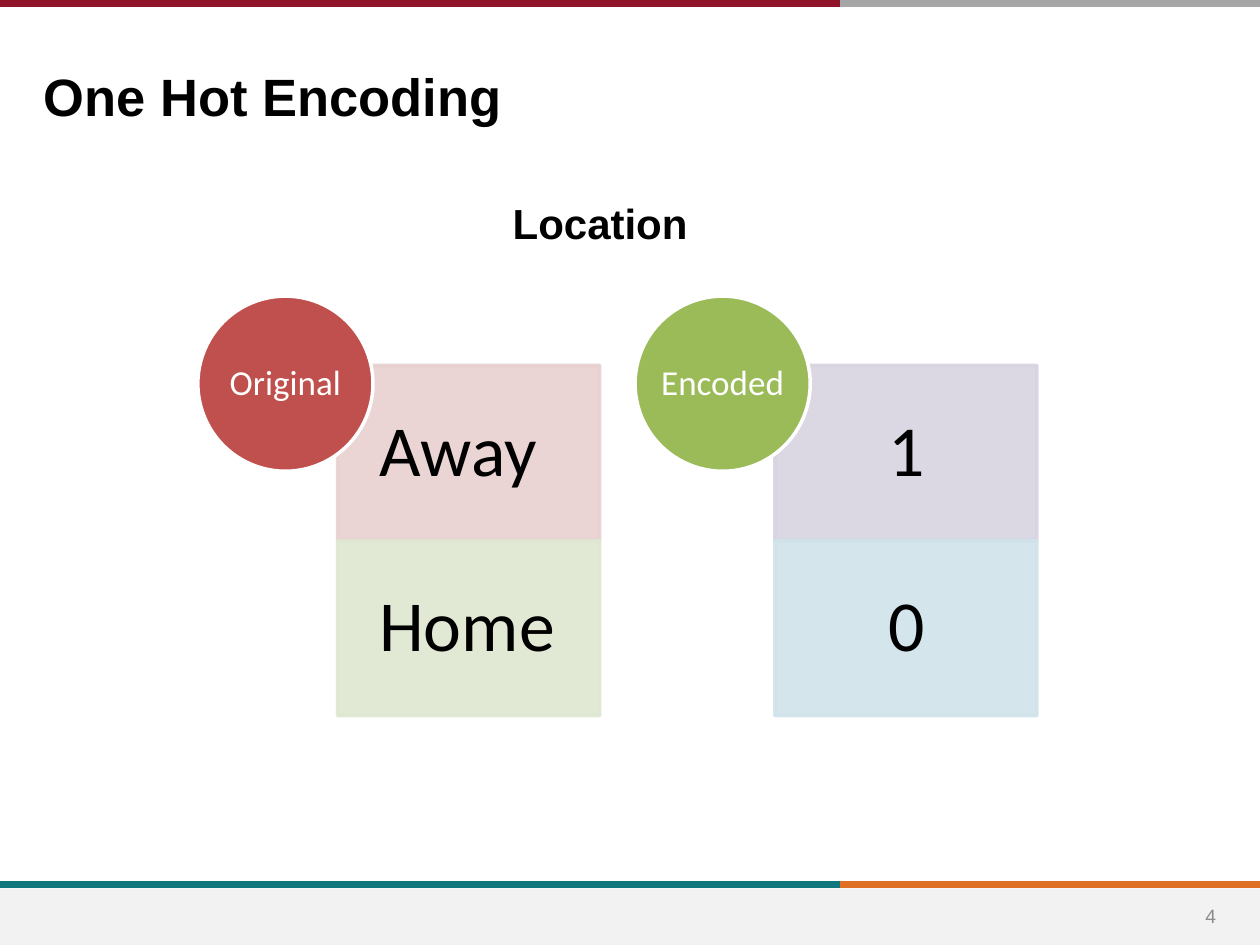
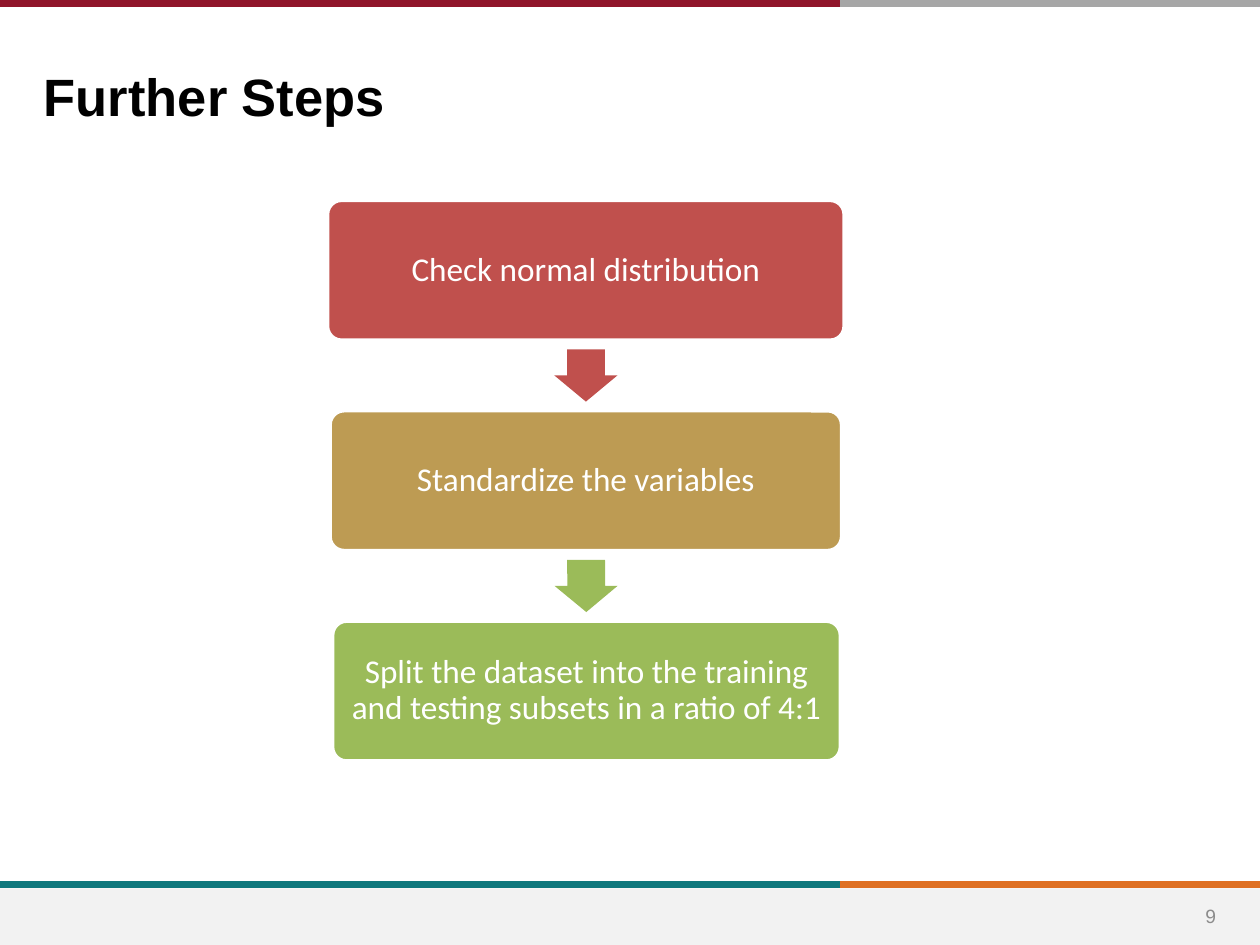
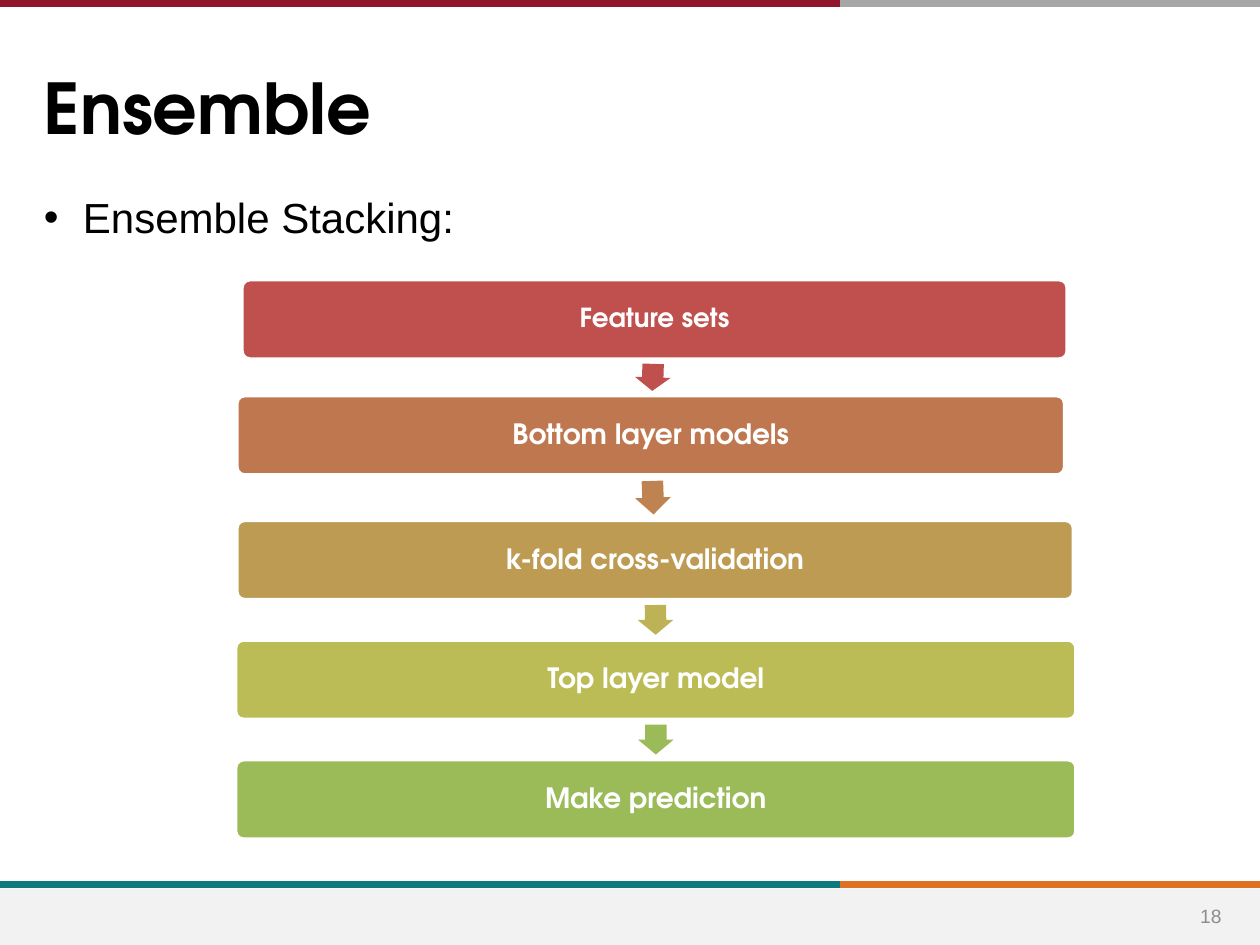
from math import atan2, degrees

from lxml import etree
from pptx import Presentation
from pptx import util as u
from pptx.dml.color import RGBColor
from pptx.enum import shapes, text
from pptx.oxml import ns


class Theme:
    sans, rounded, diagram = "Arial", "TeX Gyre Adventor", "Calibri"
    black, white, number = "000000", "FFFFFF", "8C8C8C"
    footer = "F2F2F2"
    red, green = "C0504D", "9BBB59"
    title_size, big_title_size, body_size, number_size = 30, 40, 24, 11
    value_size, badge_size, step_size = 41, 20, 19


# Content
SPLIT = 6.67
BANDS = [  # y, left colour, right colour
    (7.02, "0F787D", "DF7023"),
    (0.03, "90152A", "A6A6A6"),
]

ENCODING = [  # left, badge, badge colour, alignment, (value, tint) rows
    (2.68, "Original", Theme.red, text.PP_ALIGN.LEFT,
     [("Away", "E8D0D0"), ("Home", "DEE7D1")]),
    (6.15, "Encoded", Theme.green, text.PP_ALIGN.CENTER,
     [("1", "D8D3E0"), ("0", "D0E3EA")]),
]

# Steps: label, left, top, width, colour, colour of the arrow below, size
FURTHER_STEPS = [
    ("Check normal distribution", 2.6, 1.59, 4.1, Theme.red, Theme.red, 19),
    ("Standardize the variables", 2.62, 3.26, 4.06, "BD9B53", Theme.green, 19),
    ("Split the dataset into the training and testing subsets in a ratio of 4:1",
     2.64, 4.93, 4.03, Theme.green, None, 19),
]
STACKING = [
    ("Feature sets", 1.92, 2.22, 6.55, Theme.red, Theme.red, 15),
    ("Bottom layer models", 1.88, 3.14, 6.57, "BF7750", "BE8351", 16),
    ("k-fold cross-validation", 1.88, 4.13, 6.64, "BD9B53", "BDB255", 16),
    ("Top layer model", 1.87, 5.08, 6.67, "BCBC56", Theme.green, 16),
    ("Make prediction", 1.87, 6.03, 6.67, Theme.green, None, 16),
]


# Building blocks
def rgb(colour):
    return RGBColor.from_string(colour)


def inches(*lengths):
    return [u.Inches(length) for length in lengths]


def write(shape, words, size, colour, font=Theme.sans, bold=False,
          align=text.PP_ALIGN.LEFT, anchor=text.MSO_ANCHOR.TOP,
          insets=(0.1, 0.05, 0.1, 0.05), spacing=None):
    frame = shape.text_frame
    frame.word_wrap = True
    frame.vertical_anchor = anchor
    (frame.margin_left, frame.margin_top,
     frame.margin_right, frame.margin_bottom) = inches(*insets)
    line = frame.paragraphs[0]
    line.text = words
    line.alignment = align
    line.line_spacing = spacing
    line.font.name, line.font.size, line.font.bold = font, u.Pt(size), bold
    line.font.color.rgb = rgb(colour)


def add_text(slide, box, words, size, colour=Theme.black, **style):
    label = slide.shapes.add_textbox(*inches(*box))
    write(label, words, size, colour, **style)
    return label


def add_block(slide, kind, box, fill, outline=None, opacity=None):
    block = slide.shapes.add_shape(kind, *inches(*box))
    block.shadow.inherit = False
    block.fill.solid()
    block.fill.fore_color.rgb = rgb(fill)
    if outline:
        block.line.color.rgb = rgb(outline)
        block.line.width = u.Pt(2)
    else:
        block.line.fill.background()
    if opacity:
        for colour in block._element.spPr.iter(ns.qn("a:srgbClr")):
            etree.SubElement(colour, ns.qn("a:alpha"), val=str(opacity * 1000))
    return block


def add_band(slide, y, start, end, colour):
    band = slide.shapes.add_connector(
        shapes.MSO_CONNECTOR.STRAIGHT, *inches(start, y, end, y))
    band.line.color.rgb = rgb(colour)
    band.line.width = u.Pt(4)
    etree.SubElement(band._element.spPr, ns.qn("a:effectLst"))


def add_page(deck, title, number, size=Theme.title_size, font=Theme.sans):
    slide = deck.slides.add_slide(deck.slide_layouts[6])
    add_block(slide, shapes.MSO_SHAPE.RECTANGLE, (0, 7.05, 10, 0.45), Theme.footer)
    for y, left_colour, right_colour in BANDS:
        add_band(slide, y, 0, SPLIT, left_colour)
        add_band(slide, y, SPLIT, 10, right_colour)
    add_text(slide, (9.35, 7.07, 0.52, 0.4), number, Theme.number_size, Theme.number,
             align=text.PP_ALIGN.CENTER, anchor=text.MSO_ANCHOR.MIDDLE)
    add_text(slide, (0.25, 0.46, 7.99, 0.59), title, size, font=font, bold=True)
    return slide


def add_encoding(slide, left, badge, badge_colour, align, rows):
    top, width, height = 2.9, 2.08, 1.39
    for row, (value, tint) in enumerate(rows):
        cell = add_block(slide, shapes.MSO_SHAPE.RECTANGLE,
                         (left, top + row * height, width, height), tint, tint, 90)
        write(cell, value, Theme.value_size, Theme.black, Theme.diagram, align=align,
              anchor=text.MSO_ANCHOR.MIDDLE, insets=(0.33, 0, 0.32, 0), spacing=0.9)
    circle = add_block(slide, shapes.MSO_SHAPE.OVAL,
                       (left - 1.11, top - 0.55, height, height),
                       badge_colour, Theme.white)
    write(circle, badge, Theme.badge_size, Theme.white, Theme.diagram,
          align=text.PP_ALIGN.CENTER, anchor=text.MSO_ANCHOR.MIDDLE,
          insets=(0, 0, 0, 0), spacing=0.9)


def add_flow(slide, steps, height, inset, **style):
    for label, left, top, width, fill, _, size in steps:
        step = add_block(slide, shapes.MSO_SHAPE.ROUNDED_RECTANGLE,
                         (left, top, width, height), fill, Theme.white)
        step.adjustments[0] = 0.1
        write(step, label, size, Theme.white, align=text.PP_ALIGN.CENTER,
              anchor=text.MSO_ANCHOR.MIDDLE, insets=(inset,) * 4, spacing=0.9, **style)

    # Each arrow sits mid-gap and points from one step's centre to the next
    for upper, lower in zip(steps, steps[1:]):
        (_, left, top, width, _, colour, _), (_, left2, top2, width2, *_) = upper, lower
        start, end = left + width / 2, left2 + width2 / 2
        length, breadth = 0.74 * (top2 - top - height), 0.45 * height
        middle = (top + height + top2) / 2
        arrow = add_block(slide, shapes.MSO_SHAPE.RIGHT_ARROW,
                          ((start + end - length) / 2, middle - breadth / 2,
                           length, breadth), colour)
        arrow.adjustments[0], arrow.adjustments[1] = 0.6, 0.5
        arrow.rotation = degrees(atan2(top2 - top, end - start))


def add_bullet(slide, box, words):
    body = slide.shapes.add_textbox(*inches(*box))
    props = body.text_frame.paragraphs[0]._p.get_or_add_pPr()
    props.set("marL", str(u.Inches(0.31)))
    props.set("indent", str(-u.Inches(0.31)))
    etree.SubElement(props, ns.qn("a:buFont"), typeface=Theme.sans)
    etree.SubElement(props, ns.qn("a:buChar"), char="•")
    write(body, words, Theme.body_size, Theme.black)


def main():
    deck = Presentation()
    deck.slide_width, deck.slide_height = inches(10, 7.5)

    # One hot encoding
    slide = add_page(deck, "One Hot Encoding", "4")
    add_text(slide, (3.97, 1.52, 2.65, 0.95), "Location", Theme.body_size, bold=True)
    for column in ENCODING:
        add_encoding(slide, *column)

    # Further steps
    slide = add_page(deck, "Further Steps", "9")
    add_flow(slide, FURTHER_STEPS, 1.11, 0.08, font=Theme.diagram)

    # Ensemble
    slide = add_page(deck, "Ensemble", "18", Theme.big_title_size, Theme.rounded)
    add_bullet(slide, (0.25, 1.47, 9.45, 4.79), "Ensemble Stacking:")
    add_flow(slide, STACKING, 0.63, 0.07, font=Theme.rounded, bold=True)

    deck.save("out.pptx")


if __name__ == "__main__":
    main()
